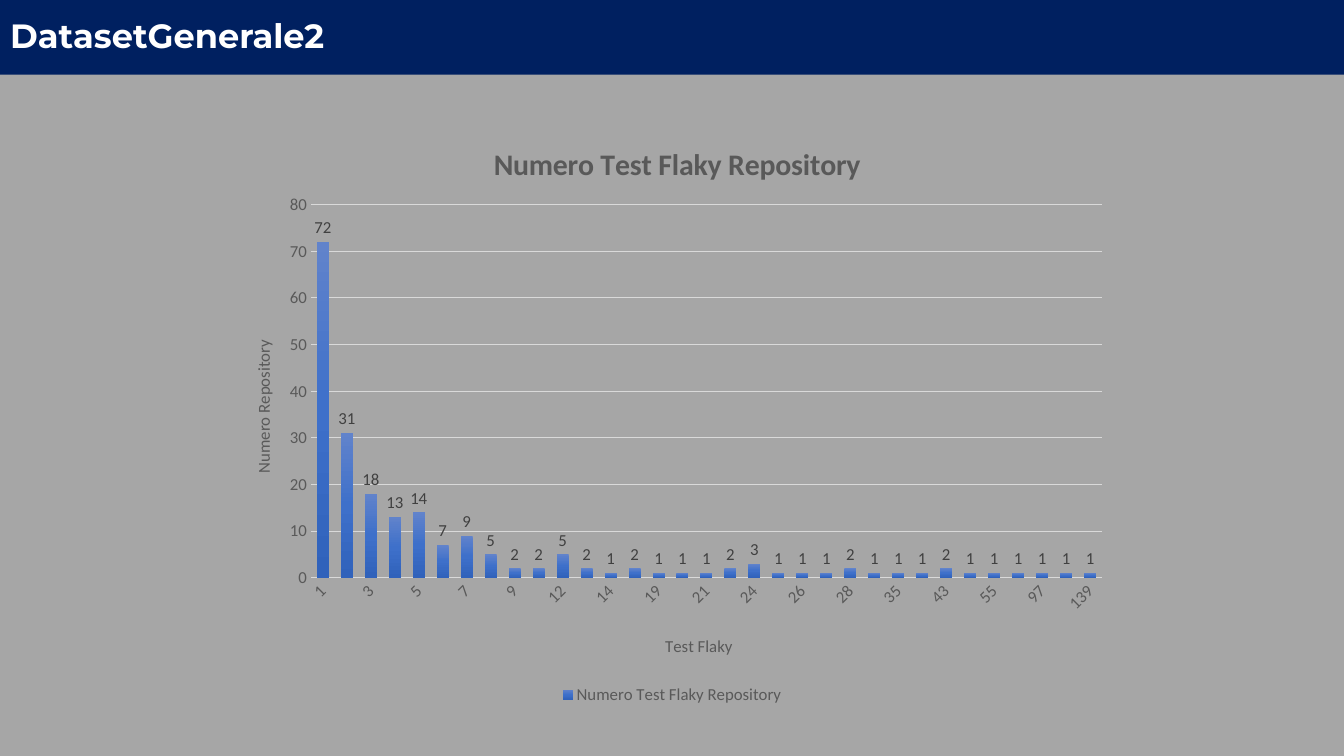
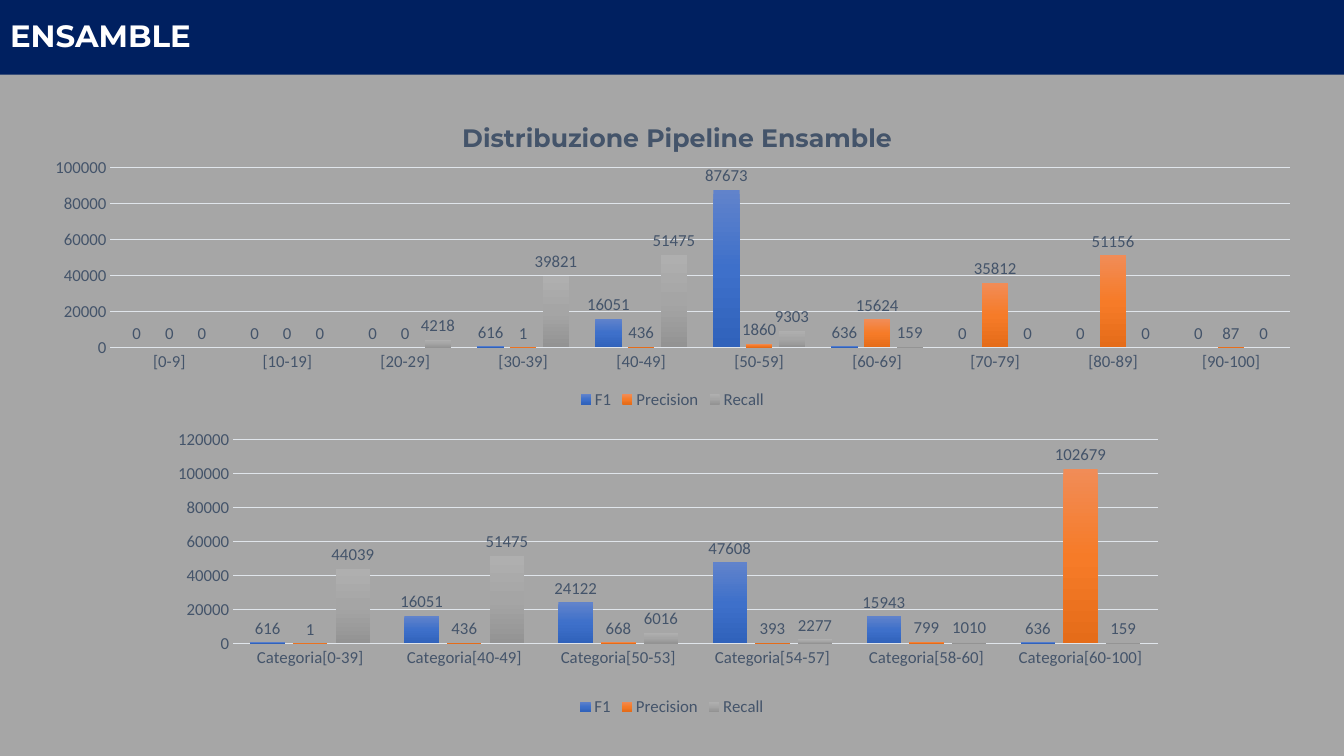
from copy import deepcopy

from lxml import etree
from pptx import Presentation
from pptx.chart.data import CategoryChartData
from pptx.dml.color import RGBColor
from pptx.enum.chart import XL_CHART_TYPE, XL_LABEL_POSITION, XL_LEGEND_POSITION, XL_TICK_MARK
from pptx.enum.text import MSO_ANCHOR, MSO_AUTO_SIZE, PP_ALIGN
from pptx.oxml.ns import qn
from pptx.util import Inches, Pt

COLUMN = XL_CHART_TYPE.COLUMN_CLUSTERED
OUTSIDE = XL_LABEL_POSITION.OUTSIDE_END
BOTTOM = XL_LEGEND_POSITION.BOTTOM
NO_TICK = XL_TICK_MARK.NONE
MIDDLE = MSO_ANCHOR.MIDDLE
NO_FIT = MSO_AUTO_SIZE.NONE
LEFT = PP_ALIGN.LEFT

WIDE, HIGH = Inches(13.33), Inches(7.5)
NAVY, GREY, WHITE = "002060", "A6A6A6", "FFFFFF"
BODY, HEAD = "Calibri", "Montserrat"
BAND = (0, 0, 100, 9.87)
SHADES = [
    ("6183CB", "3E70CA", "3062BB"),
    ("F18C57", "F67B28", "E56C19"),
    ("AFAFAF", "A5A5A5", "939393"),
]
PLAIN = {"text": "595959", "label": "404040", "line": "D9D9D9", "weight": 1}
SLATE = {"text": "44546A", "label": "44546A", "line": "E0E5EB", "weight": 0.75}

FLAKY = {
    "box": (16.67, 14.67, 66.67, 79.07),
    "plot": (9.7, 15.7, 88.3, 62.4),
    "look": PLAIN,
    "title": ("Numero Test Flaky Repository", 21.3, BODY, (29.5, 4.5)),
    "axes": [("Test Flaky", (48.9, 87.1), 0), ("Numero Repository", (2.8, 37.8), -90)],
    "turn": -45,
    "cats": [1, 2, 3, 4, 5, 6, 7, 8, 9, 11, 12, 13, 14, 18, 19, 20, 21, 22, 24, 25, 26,
             27, 28, 34, 35, 39, 43, 45, 55, 90, 97, 136, 139],
    "rows": {
        "Numero Test Flaky Repository": [
            72, 31, 18, 13, 14, 7, 9, 5, 2, 2, 5, 2, 1, 2, 1, 1, 1, 2, 3, 1, 1,
            1, 2, 1, 1, 1, 2, 1, 1, 1, 1, 1, 1],
    },
}
SPREAD = {
    "box": (2.18, 13.2, 95.72, 41.47),
    "plot": (6.3, 21.7, 91.7, 57.3),
    "look": SLATE,
    "title": ("Distribuzione Pipeline Ensamble", 18, HEAD, (33.3, 5)),
    "cats": [f"[{low}-{low + 9}]" for low in range(0, 90, 10)] + ["[90-100]"],
    "rows": {
        "F1": [0, 0, 0, 616, 16051, 87673, 636, 0, 0, 0],
        "Precision": [0, 0, 0, 1, 436, 1860, 15624, 35812, 51156, 87],
        "Recall": [0, 0, 4218, 39821, 51475, 9303, 159, 0, 0, 0],
    },
}
GROUPS = {
    "box": (12.98, 56.8, 74.04, 38.53),
    "plot": (5.9, 3.5, 92.9, 70),
    "look": SLATE,
    "cats": [f"Categoria[{span}]" for span in
             ("0-39", "40-49", "50-53", "54-57", "58-60", "60-100")],
    "rows": {
        "F1": [616, 16051, 24122, 47608, 15943, 636],
        "Precision": [1, 436, 668, 393, 799, 102679],
        "Recall": [44039, 51475, 6016, 2277, 1010, 159],
    },
}
PAGES = [("DatasetGenerale2", 24, [FLAKY]), ("ENSAMBLE", 22, [SPREAD, GROUPS])]


def rgb(code):
    """Turn a hex string into a colour."""
    return RGBColor.from_string(code)


def put(item, **values):
    """Set several attributes of one object."""
    for key, value in values.items():
        setattr(item, key, value)


def ink(font, size, code, name=BODY, bold=False):
    """Style a font."""
    put(font, size=Pt(size), name=name, bold=bold)
    font.color.rgb = rgb(code)


def paint(fill, code):
    """Give a fill one solid colour."""
    fill.solid()
    fill.fore_color.rgb = rgb(code)


def rule(line, code, weight):
    """Style a line."""
    paint(line.fill, code)
    line.width = Pt(weight)


def place(box):
    """Turn percentages of the slide into lengths."""
    left, top, wide, high = box
    return [int(share * side / 100) for share, side in
            ((left, WIDE), (top, HIGH), (wide, WIDE), (high, HIGH))]


def settle(node, spot, index):
    """Fix a chart part at percentages of the chart's box."""
    old = node.find(qn("c:layout"))
    if old is not None:
        node.remove(old)
    layout = etree.Element(qn("c:layout"))
    node.insert(index, layout)
    manual = etree.SubElement(layout, qn("c:manualLayout"))
    parts = [("xMode", "edge"), ("yMode", "edge")]
    if len(spot) == 4:
        parts.insert(0, ("layoutTarget", "inner"))
    parts += [(key, f"{share / 100:.3f}") for key, share in zip("xywh", spot)]
    for key, value in parts:
        etree.SubElement(manual, qn(f"c:{key}")).set("val", value)


def spin(node, angle):
    """Turn the text held by a node."""
    node.find(".//" + qn("a:bodyPr")).set("rot", str(angle * 60000))


def name(title, text, size, code, face, bold, spot):
    """Write and place a chart or axis title."""
    frame = title.text_frame
    frame.text = text
    ink(frame.paragraphs[0].runs[0].font, size, code, face, bold)
    settle(title.element, spot, 1)


def shade(series, codes):
    """Fill a series with a gradient from top to bottom."""
    fill = series.format.fill
    fill.gradient()
    fill.gradient_angle = 270
    stops = series._element.find(".//" + qn("a:gsLst"))
    stops.append(deepcopy(stops[0]))
    for index, (stop, code) in enumerate(zip(fill.gradient_stops, codes)):
        stop.position = index / 2
        stop.color.rgb = rgb(code)


def band(slide, text, size):
    """Make the title band."""
    title = slide.shapes.title
    put(title, **dict(zip(("left", "top", "width", "height"), place(BAND))))
    paint(title.fill, NAVY)
    frame = title.text_frame
    frame.text = text
    put(frame, vertical_anchor=MIDDLE, auto_size=NO_FIT, word_wrap=True)
    line = frame.paragraphs[0]
    put(line, alignment=LEFT, line_spacing=0.9)
    ink(line.runs[0].font, size, WHITE, HEAD, True)


def graph(slide, plan):
    """Draw one column chart from its plan."""
    data = CategoryChartData()
    data.categories = [str(cat) for cat in plan["cats"]]
    for key, values in plan["rows"].items():
        data.add_series(key, values)
    chart = slide.shapes.add_chart(COLUMN, *place(plan["box"]), data).chart
    look = plan["look"]
    code = look["text"]
    ink(chart.font, 12, code)

    chart.has_title = "title" in plan
    if chart.has_title:
        text, size, face, spot = plan["title"]
        name(chart.chart_title, text, size, code, face, True, spot)

    chart.has_legend = True
    put(chart.legend, position=BOTTOM, include_in_layout=False)
    ink(chart.legend.font, 12, code)

    cat, val = chart.category_axis, chart.value_axis
    for axis in (cat, val):
        put(axis, major_tick_mark=NO_TICK, minor_tick_mark=NO_TICK)
        ink(axis.tick_labels.font, 12, code)
    for axis, (text, spot, angle) in zip((cat, val), plan.get("axes", [])):
        name(axis.axis_title, text, 12, code, BODY, False, spot)
        spin(axis.axis_title.element, angle)
    if "turn" in plan:
        spin(chart.element.find(f".//{qn('c:catAx')}/{qn('c:txPr')}"), plan["turn"])
    rule(cat.format.line, look["line"], look["weight"])
    val.format.line.fill.background()
    rule(val.major_gridlines.format.line, look["line"], 0.75)

    plot = chart.plots[0]
    put(plot, gap_width=100, overlap=-24, vary_by_categories=False)
    for series, codes in zip(plot.series, SHADES):
        shade(series, codes)
        labels = series.data_labels
        put(labels, show_value=True, position=OUTSIDE)
        ink(labels.font, 12, look["label"])
    settle(chart.element.find(".//" + qn("c:plotArea")), plan["plot"], 0)


def main():
    """Build the deck."""
    deck = Presentation()
    put(deck, slide_width=WIDE, slide_height=HIGH)
    paint(deck.slide_master.background.fill, GREY)
    for text, size, plans in PAGES:
        slide = deck.slides.add_slide(deck.slide_layouts[5])
        band(slide, text, size)
        for plan in plans:
            graph(slide, plan)
    deck.save("out.pptx")


if __name__ == "__main__":
    main()
